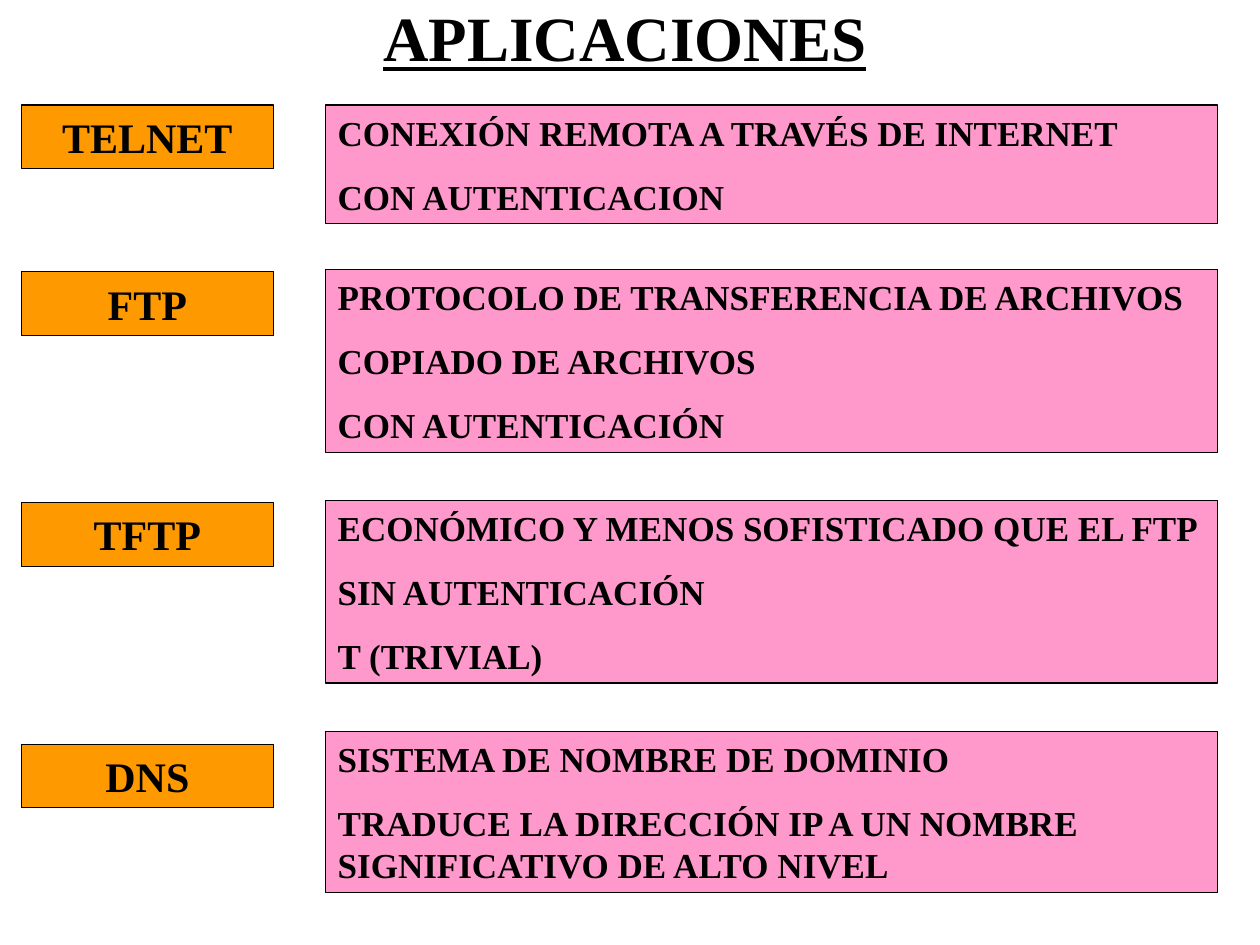
from dataclasses import dataclass

from pptx import Presentation
from pptx.dml.color import RGBColor
from pptx.enum.shapes import MSO_SHAPE
from pptx.enum.text import MSO_ANCHOR, MSO_AUTO_SIZE, PP_ALIGN
from pptx.shapes.autoshape import Shape
from pptx.slide import Slide
from pptx.util import Pt

RECTANGLE = MSO_SHAPE.RECTANGLE
TOP, MIDDLE = MSO_ANCHOR.TOP, MSO_ANCHOR.MIDDLE
LEFT, CENTER = PP_ALIGN.LEFT, PP_ALIGN.CENTER
GROW = MSO_AUTO_SIZE.SHAPE_TO_FIT_TEXT

FONT = "Times New Roman"
BLACK, ORANGE, PINK = "000000", "FF9900", "FF99CC"


@dataclass
class Column:
    left: float
    width: float
    fill: str
    size: float
    align: PP_ALIGN


@dataclass
class Application:
    name: str
    label_top: float
    detail_top: float
    detail_height: float
    details: list[str]


LABELS = Column(12.24, 144, ORANGE, 24, CENTER)
DETAILS = Column(185.9, 509.9, PINK, 20, LEFT)
LABEL_HEIGHT = 36.3

APPLICATIONS = [
    Application("TELNET", 60, 60, 67.7,
                ["CONEXIÓN REMOTA A TRAVÉS DE INTERNET", "CON AUTENTICACION"]),
    Application("FTP", 155.3, 154, 104.4,
                ["PROTOCOLO DE TRANSFERENCIA DE ARCHIVOS",
                 "COPIADO DE ARCHIVOS", "CON AUTENTICACIÓN"]),
    Application("TFTP", 287.3, 286, 104.4,
                ["ECONÓMICO Y MENOS SOFISTICADO QUE EL FTP",
                 "SIN AUTENTICACIÓN", "T (TRIVIAL)"]),
    Application("DNS", 425.3, 418, 92.2,
                ["SISTEMA DE NOMBRE DE DOMINIO",
                 "TRADUCE LA DIRECCIÓN IP A UN NOMBRE SIGNIFICATIVO DE ALTO NIVEL"]),
]


def color(value: str) -> RGBColor:
    return RGBColor.from_string(value)


def write(box: Shape, lines: list[str], size: float, align: PP_ALIGN,
          anchor: MSO_ANCHOR = TOP, underline: bool = False) -> None:
    frame = box.text_frame
    frame.text = "\n".join(lines)
    frame.word_wrap = True
    frame.vertical_anchor = anchor
    for index, para in enumerate(frame.paragraphs):
        para.alignment = align
        para.space_before = Pt(size * 0.625 if index else 0)
        for span in para.runs:
            span.font.name = FONT
            span.font.size = Pt(size)
            span.font.bold = True
            span.font.underline = underline
            span.font.color.rgb = color(BLACK)


def add_box(page: Slide, column: Column, top: float, height: float,
            lines: list[str]) -> None:
    box = page.shapes.add_shape(RECTANGLE, Pt(column.left), Pt(top),
                                Pt(column.width), Pt(height))
    box.shadow.inherit = False
    box.fill.solid()
    box.fill.fore_color.rgb = color(column.fill)
    box.line.color.rgb = color(BLACK)
    box.line.width = Pt(0.75)
    write(box, lines, column.size, column.align)
    box.text_frame.auto_size = GROW


def add_title(page: Slide, title: str) -> None:
    box = page.shapes.add_textbox(Pt(180), Pt(0), Pt(354), Pt(42))
    write(box, [title], 36, CENTER, MIDDLE, True)


def main() -> None:
    deck = Presentation()
    deck.slide_width, deck.slide_height = Pt(720), Pt(540)
    page = deck.slides.add_slide(deck.slide_layouts[6])
    add_title(page, "APLICACIONES")
    for item in APPLICATIONS:
        add_box(page, LABELS, item.label_top, LABEL_HEIGHT, [item.name])
        add_box(page, DETAILS, item.detail_top, item.detail_height, item.details)
    deck.save("out.pptx")


if __name__ == "__main__":
    main()
